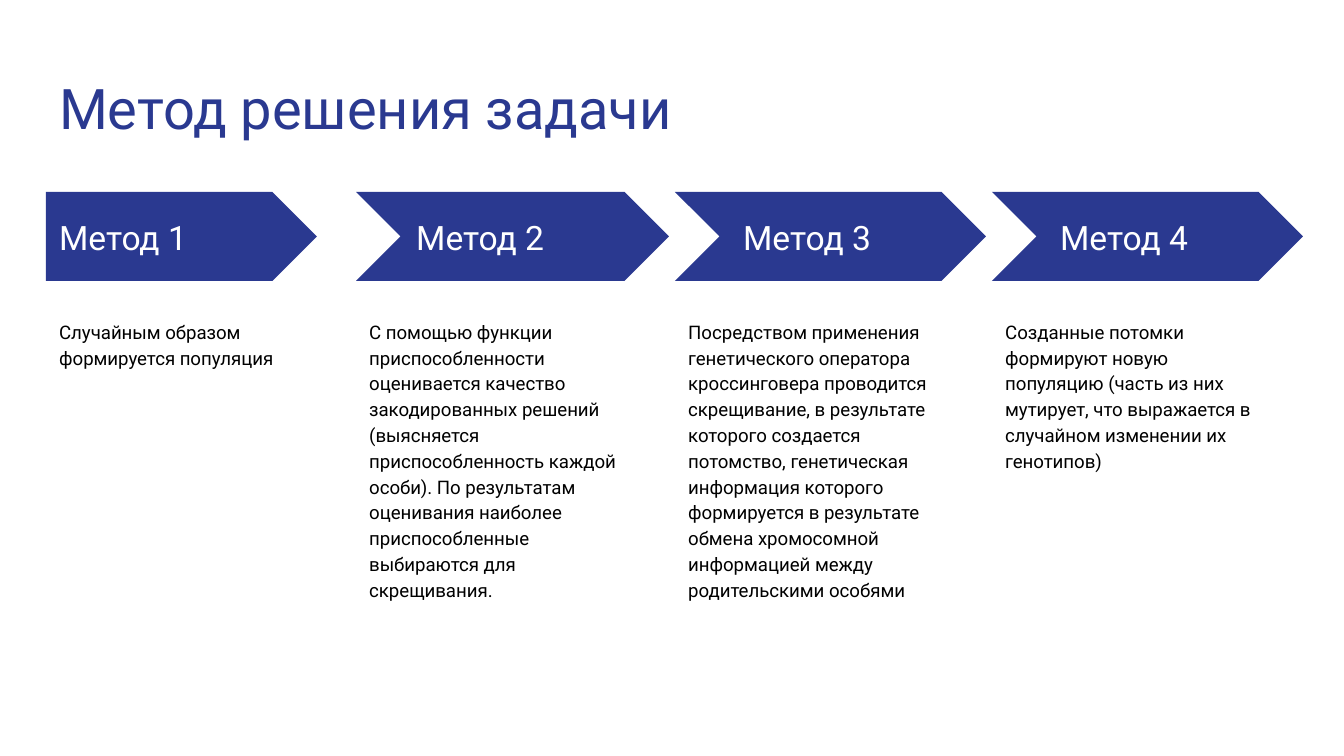
import pptx
import pptx.util
import pptx.dml.color
import pptx.enum.shapes
import pptx.enum.text

EMU_PER_PX = 914400 / 134.4
BLUE, WHITE, BLACK = "2A3990", "FFFFFF", "000000"
ANCHOR = pptx.enum.text.MSO_ANCHOR
SHAPE = pptx.enum.shapes.MSO_SHAPE


def px(length):
    return pptx.util.Emu(round(length * EMU_PER_PX))


def color(hex_value):
    return pptx.dml.color.RGBColor.from_string(hex_value)


def add_text(slide, text, box, size, ink, anchor=ANCHOR.TOP, spacing=None, after=None):
    text_box = slide.shapes.add_textbox(*map(px, box))
    frame = text_box.text_frame
    frame.word_wrap = True
    frame.vertical_anchor = anchor
    frame.margin_left = frame.margin_right = pptx.util.Inches(0.1)
    frame.margin_top = frame.margin_bottom = pptx.util.Inches(0.1)
    paragraph = frame.paragraphs[0]
    if spacing:
        paragraph.line_spacing = spacing
    if after:
        paragraph.space_after = pptx.util.Pt(after)
    run = paragraph.add_run()
    run.text = text
    run.font.name = "Roboto"
    run.font.size = pptx.util.Pt(size)
    run.font.color.rgb = color(ink)


def add_step(slide, box, outline, label, label_indent, label_width, description, text_width):
    left, top, width, height = box
    # Arrow
    arrow = slide.shapes.add_shape(outline, *map(px, (left, top, width, 89)))
    arrow.adjustments[0] = 0.5
    arrow.shadow.inherit = False
    arrow.fill.solid()
    arrow.fill.fore_color.rgb = color(BLUE)
    arrow.line.fill.background()
    # Label on the arrow
    add_text(slide, label, (left + label_indent, top + 22, label_width, 46), 18, WHITE,
             anchor=ANCHOR.MIDDLE)
    # Description below it
    add_text(slide, description, (left, top + 112, text_width, height - 112), 10, BLACK,
             spacing=1.15, after=8)


# Left, arrow width, arrow outline, label indent, label width, text width, description
STEPS = [
    (46, 271, SHAPE.PENTAGON, 0, 249, 271,
     "Случайным образом формируется популяция"),
    (356, 313, SHAPE.CHEVRON, 47, 255, 280,
     "С помощью функции приспособленности оценивается качество закодированных решений "
     "(выясняется приспособленность каждой особи). По результатам оценивания наиболее "
     "приспособленные выбираются для скрещивания."),
    (675, 311, SHAPE.CHEVRON, 55, 254, 278,
     "Посредством применения генетического оператора кроссинговера проводится скрещивание, "
     "в результате которого создается потомство, генетическая информация которого "
     "формируется в результате обмена хромосомной информацией между родительскими особями"),
    (992, 311, SHAPE.CHEVRON, 55, 254, 278,
     "Созданные потомки формируют новую популяцию (часть из них мутирует, "
     "что выражается в случайном изменении их генотипов)"),
]


def main():
    deck = pptx.Presentation()
    deck.slide_width, deck.slide_height = px(1344), px(756)
    slide = deck.slides.add_slide(deck.slide_layouts[6])

    # Title
    add_text(slide, "Метод решения задачи", (46, 60, 1253, 89), 30, BLUE)

    # Four steps
    for number, step in enumerate(STEPS, 1):
        left, width, outline, indent, label_width, text_width, description = step
        add_step(slide, (left, 192, width, 502), outline, f"Метод {number}",
                 indent, label_width, description, text_width)

    deck.save("out.pptx")


if __name__ == "__main__":
    main()
